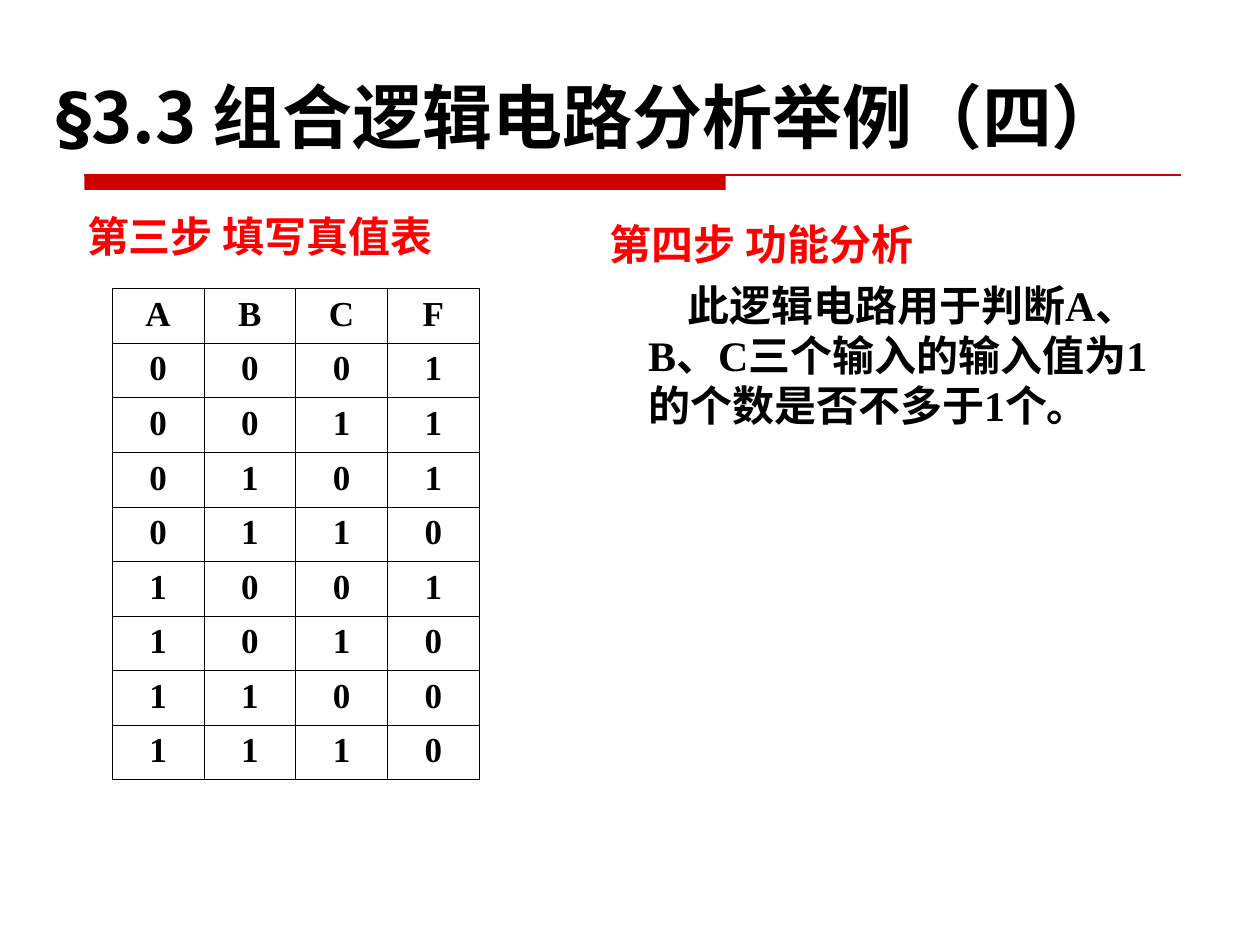
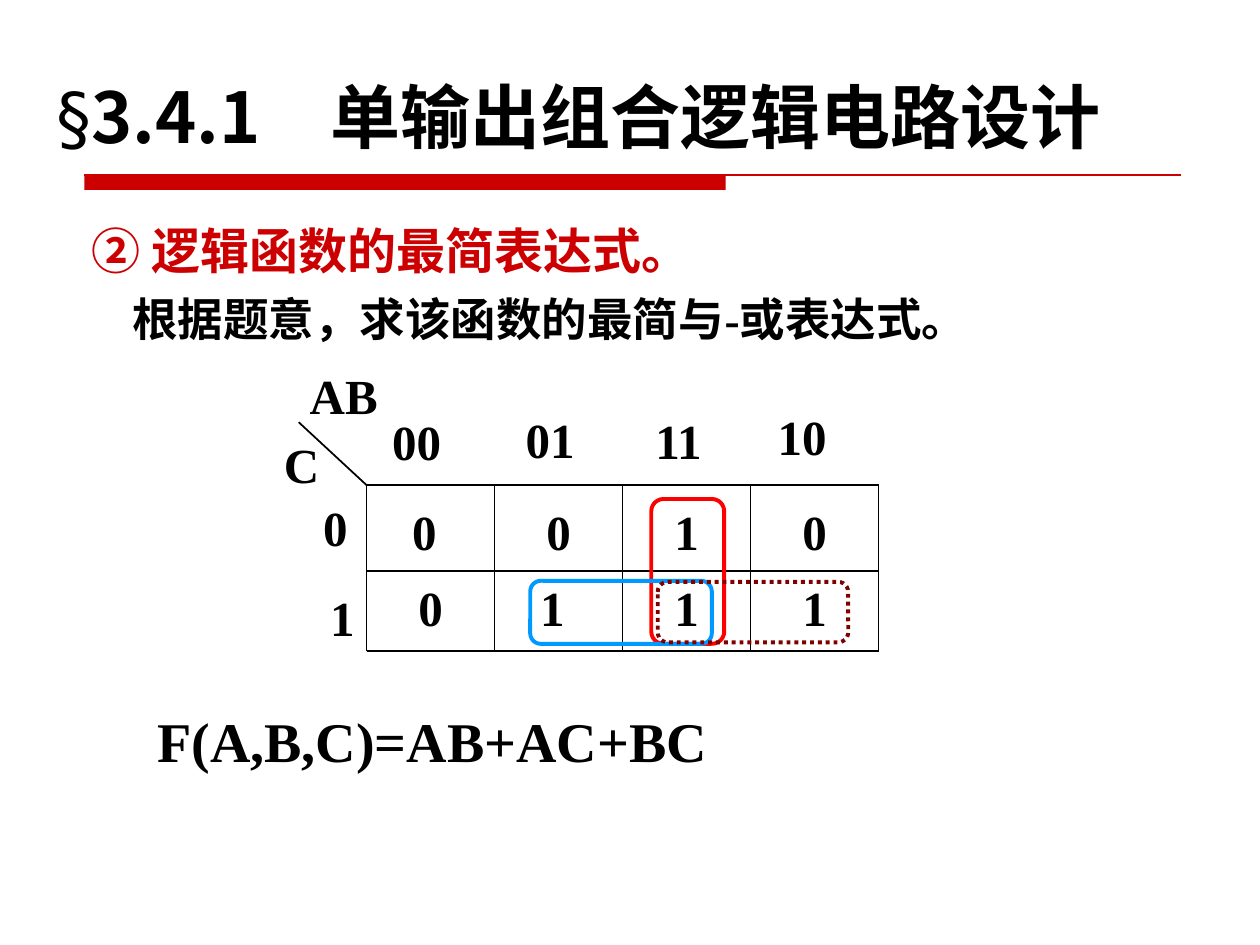
from dataclasses import dataclass
from itertools import product
from typing import NamedTuple

from lxml import etree
from pptx import Presentation
from pptx import util as u
from pptx.dml import color
from pptx.enum import dml, shapes, text
from pptx.oxml import ns

BLACK, RED, CRIMSON, BLUE, MAROON = "000000", "FF0000", "CC0000", "0099FF", "800000"
SERIF, SANS, CJK = "Times New Roman", "DejaVu Sans", "Noto Sans CJK SC"
CENTER, LEFT = text.PP_ALIGN.CENTER, text.PP_ALIGN.LEFT


class Box(NamedTuple):
    """Left, top, width and height in centimetres."""
    left: float
    top: float
    width: float
    height: float


@dataclass
class Run:
    text: str
    size: float
    font: str = SERIF
    color: str = BLACK
    bold: bool = True


@dataclass
class Para:
    runs: list[Run]
    align: text.PP_ALIGN = LEFT
    before: float = 0
    margin: float = 0
    indent: float = 0


@dataclass
class Label:
    text: str
    left: float
    top: float
    width: float = 1.5


@dataclass
class Loop:
    box: Box
    color: str
    dash: dml.MSO_LINE | None = None


TITLE_BOX = Box(0.89, 0.76, 24.2, 2.54)

MAP_LEFT, CELL_WIDTH = 7.39, 2.58
MAP_ROWS = (9.78, 11.51, 13.13)
CELL_TOPS = (9.98, 11.51)
CELL_VALUES = (("0 ", "0", "1", "0"), ("0", "1 ", "1", "1"))
MAP_LABELS = (
    Label("00", 7.65, 8.18), Label("01", 10.34, 8.13),
    Label("11", 12.93, 8.15), Label("10", 15.42, 8.08),
    Label("AB", 5.99, 7.24, 1.88), Label("C", 5, 8.64, 2.16),
    Label("0", 5.82, 9.91, 1.88), Label("1", 5.82, 11.71, 2.16),
)
LOOPS = (
    Loop(Box(13.13, 10.06, 1.47, 2.92), RED),
    Loop(Box(10.69, 11.71, 3.66, 1.27), BLUE),
    Loop(Box(13.26, 11.73, 3.84, 1.22), MAROON, dml.MSO_LINE.ROUND_DOT),
)


def rgb(value: str) -> color.RGBColor:
    return color.RGBColor.from_string(value)


def cm(box: tuple) -> list[u.Cm]:
    return [u.Cm(v) for v in box]


def place(sp, box: Box) -> None:
    for name, value in zip(Box._fields, cm(box)):
        setattr(sp, name, value)


def write(tf, paras: list[Para]) -> None:
    """Fill a text frame with formatted paragraphs that have no bullets."""
    for i, para in enumerate(paras):
        p = tf.paragraphs[0] if i == 0 else tf.add_paragraph()
        p.alignment, p.space_before = para.align, u.Pt(para.before)
        pPr = p._p.get_or_add_pPr()
        pPr.set("marL", str(u.Cm(para.margin)))
        pPr.set("indent", str(u.Cm(para.indent)))
        etree.SubElement(pPr, ns.qn("a:buNone"))
        for run in para.runs:
            r = p.add_run()
            r.text = run.text
            formats = {"name": run.font, "size": u.Pt(run.size), "bold": run.bold}
            for name, value in formats.items():
                setattr(r.font, name, value)
            r.font.color.rgb = rgb(run.color)


def fill_placeholder(sp, box: Box, paras: list[Para], anchor=text.MSO_ANCHOR.TOP) -> None:
    place(sp, box)
    tf = sp.text_frame
    tf.auto_size, tf.vertical_anchor = text.MSO_AUTO_SIZE.NONE, anchor
    write(tf, paras)


def add_title(slide, runs: list[Run]) -> None:
    fill_placeholder(slide.shapes.title, TITLE_BOX, [Para(runs)], text.MSO_ANCHOR.BOTTOM)


def add_text(slide, box: Box, para: Para, wrap: bool = True) -> None:
    tf = slide.shapes.add_textbox(*cm(box)).text_frame
    tf.word_wrap = wrap
    write(tf, [para])


def add_line(slide, ends: tuple, line_color: str = BLACK, width: float = 1):
    line = slide.shapes.add_connector(shapes.MSO_CONNECTOR.STRAIGHT, *cm(ends))
    line.line.color.rgb, line.line.width = rgb(line_color), u.Pt(width)
    etree.SubElement(line.element.spPr, ns.qn("a:effectLst"))
    return line


def add_master_band(prs, slide) -> None:
    """Draw the rule under the title and move it to the slide master."""
    bar = slide.shapes.add_shape(shapes.MSO_SHAPE.RECTANGLE, *cm((1.7, 3.53, 12.93, 0.3)))
    bar.shadow.inherit = False
    bar.fill.solid()
    bar.fill.fore_color.rgb = rgb(CRIMSON)
    bar.line.fill.background()
    rule = add_line(slide, (1.7, 3.53, 23.8, 3.53), CRIMSON, 0.75)
    for number, sp in enumerate((bar, rule), 101):
        sp.element.xpath(".//p:cNvPr")[0].set("id", str(number))
        prs.slide_master.shapes.element.append(sp.element)


def add_borders(cell, width: float) -> None:
    tcPr = cell._tc.get_or_add_tcPr()
    for i, side in enumerate(("lnL", "lnR", "lnT", "lnB")):
        ln = etree.Element(ns.qn(f"a:{side}"), w=str(u.Pt(width)))
        fill = etree.SubElement(ln, ns.qn("a:solidFill"))
        etree.SubElement(fill, ns.qn("a:srgbClr"), val=BLACK)
        tcPr.insert(i, ln)


def add_truth_table(slide) -> None:
    rows = [("A", "B", "C", "F")]
    rows += [(*bits, int(sum(bits) <= 1)) for bits in product((0, 1), repeat=3)]
    col_width, row_height = 1.85, 1.1
    box = Box(2.26, 5.82, col_width * 4, row_height * len(rows))
    table = slide.shapes.add_table(len(rows), 4, *cm(box)).table
    table.first_row = table.horz_banding = False
    for row, values in zip(table.rows, rows):
        row.height = u.Cm(row_height)
        for cell, value in zip(row.cells, values):
            cell.fill.background()
            add_borders(cell, 0.45)
            write(cell.text_frame, [Para([Run(str(value), 20)], CENTER)])


def add_karnaugh_map(slide) -> None:
    columns = [MAP_LEFT + CELL_WIDTH * i for i in range(5)]
    for top, values in zip(CELL_TOPS, CELL_VALUES):
        for left, value in zip(columns, values):
            add_text(slide, Box(left, top, CELL_WIDTH, 1.73), Para([Run(value, 28)], CENTER))
    for y in MAP_ROWS:
        add_line(slide, (columns[0], y, columns[-1], y))
    for x in columns:
        add_line(slide, (x, MAP_ROWS[0], x, MAP_ROWS[-1]))
    add_line(slide, (6.02, 8.51, MAP_LEFT, MAP_ROWS[0]))
    for label in MAP_LABELS:
        box = Box(label.left, label.top, label.width, 1.45)
        add_text(slide, box, Para([Run(label.text, 28)], CENTER), wrap=False)


def add_loop(slide, loop: Loop) -> None:
    sp = slide.shapes.add_shape(shapes.MSO_SHAPE.ROUNDED_RECTANGLE, *cm(loop.box))
    sp.shadow.inherit = False
    sp.fill.background()
    sp.line.color.rgb, sp.line.width = rgb(loop.color), u.Pt(2.25)
    if loop.dash:
        sp.line.dash_style = loop.dash


def build_analysis_slide(prs):
    slide = prs.slides.add_slide(prs.slide_layouts.get_by_name("Two Content"))
    add_title(slide, [Run("§", 40, SANS), Run("3.3 组合逻辑电路分析举例（四）", 40, CJK)])
    fill_placeholder(slide.placeholders[1], Box(1.5, 4.11, 10.9, 11.86), [
        Para([Run("第三步 填写真值表", 24, SANS, RED)]),
    ])
    fill_placeholder(slide.placeholders[2], Box(11.51, 4.27, 12.4, 11.86), [
        Para([Run("第四步 功能分析", 24, color=RED)], margin=0.53),
        Para([Run("此逻辑电路用于判断A、B、C三个输入的输入值为1的个数是否不多于1个。", 24)],
             before=6, margin=1.3, indent=0.79),
    ])
    add_truth_table(slide)
    return slide


def build_design_slide(prs) -> None:
    slide = prs.slides.add_slide(prs.slide_layouts.get_by_name("Title and Content"))
    add_title(slide, [Run("§", 40, SANS, bold=False), Run("3.4.1　", 40, CJK),
                      Run("单输出组合逻辑电路设计", 40, SANS)])
    fill_placeholder(slide.placeholders[1], Box(1.6, 4.32, 22.66, 3.28), [
        Para([Run("② ", 28, CJK, CRIMSON), Run("逻辑函数的最简表达式。", 28, color=CRIMSON)]),
        Para([Run("根据题意，求该函数的最简与-或表达式。", 26)], before=6.5, margin=0.81),
    ])
    add_karnaugh_map(slide)
    for loop in LOOPS:
        add_loop(slide, loop)
    add_text(slide, Box(2.92, 14.12, 14.17, 1.63), Para([Run("F(A,B,C)=AB+AC+BC", 32)]))


def main() -> None:
    prs = Presentation()
    prs.slide_width, prs.slide_height = u.Cm(25.4), u.Cm(19.05)
    add_master_band(prs, build_analysis_slide(prs))
    build_design_slide(prs)
    prs.save("out.pptx")


if __name__ == "__main__":
    main()
